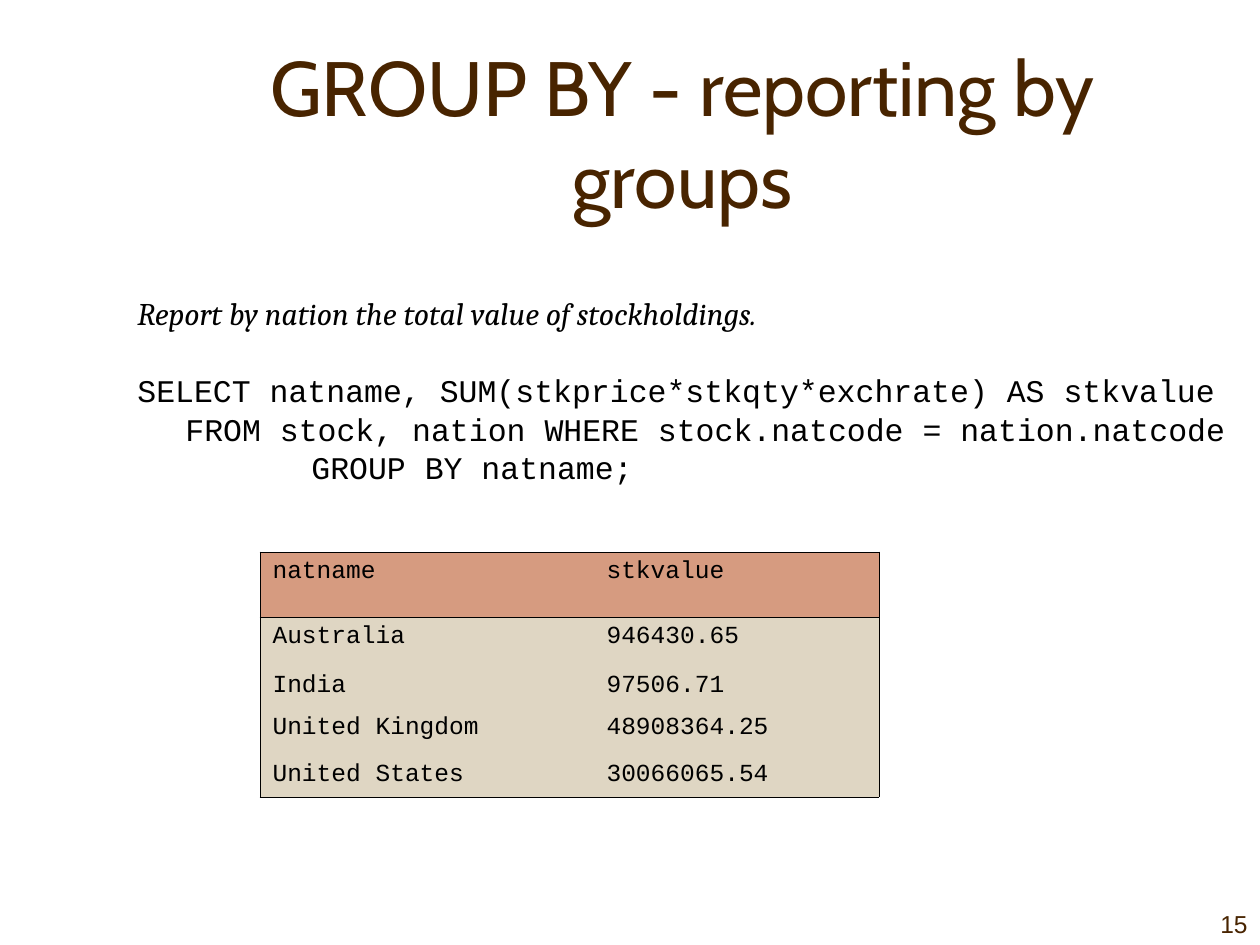
from lxml import etree
from pptx import Presentation
from pptx import util as u
from pptx.dml.color import RGBColor
from pptx.enum import text
from pptx.oxml import ns

BROWN = RGBColor(0x48, 0x24, 0x00)
BLACK = RGBColor(0, 0, 0)
HEADER_FILL = RGBColor(0xD6, 0x9B, 0x80)
BODY_FILL = RGBColor(0xDF, 0xD6, 0xC3)
SCALE = u.Inches(1) / 126


def px(length):
    return u.Emu(round(length * SCALE))


def add_run(paragraph, words, size, font, color, italic=False):
    run = paragraph.add_run()
    run.text = words
    run.font.size = u.Pt(size)
    run.font.name = font
    run.font.italic = italic
    run.font.color.rgb = color


presentation = Presentation()
presentation.slide_width = px(1260)
presentation.slide_height = px(945)
slide = presentation.slides.add_slide(presentation.slide_layouts[6])

labels = [
    ((147, 53, 1071, 158), "GROUP BY - reporting by groups", 44, "Cabin",
     text.MSO_ANCHOR.MIDDLE, text.PP_ALIGN.CENTER),
    ((1135, 882, 125, 63), "15", 14, "Arial",
     text.MSO_ANCHOR.BOTTOM, text.PP_ALIGN.RIGHT),
]
for box, words, size, font, anchor, alignment in labels:
    frame = slide.shapes.add_textbox(*map(px, box)).text_frame
    frame.word_wrap = True
    frame.vertical_anchor = anchor
    frame.paragraphs[0].alignment = alignment
    add_run(frame.paragraphs[0], words, size, font, BROWN)

query_lines = [
    ("Report by nation the total value of stockholdings.", "Cambria", True, 0, 4.5),
    ("SELECT natname, SUM(stkprice*stkqty*exchrate) AS stkvalue", "Courier New", False, 0, 27),
    ("FROM stock, nation WHERE stock.natcode = nation.natcode", "Courier New", False, 48, 4.5),
    ("GROUP BY natname;", "Courier New", False, 174, 4.5),
]
frame = slide.shapes.add_textbox(px(125), px(295), px(1135), px(198)).text_frame
frame.word_wrap = True
for index, (words, font, italic, margin, space) in enumerate(query_lines):
    paragraph = frame.add_paragraph() if index else frame.paragraphs[0]
    paragraph.line_spacing = 0.8
    paragraph.space_before = u.Pt(space)
    properties = paragraph._p.get_or_add_pPr()
    properties.set("marL", str(px(margin)))
    properties.set("indent", "0")
    add_run(paragraph, words, 18, font, BLACK, italic)

records = [
    ("natname", "stkvalue"),
    ("Australia", "946430.65"),
    ("India", "97506.71"),
    ("United Kingdom", "48908364.25"),
    ("United States", "30066065.54"),
]
column_widths = [334, 285]
row_heights = [65, 49, 42, 47, 41]
last_row = len(records) - 1
table = slide.shapes.add_table(
    len(records), len(column_widths), px(260), px(552),
    px(sum(column_widths)), px(sum(row_heights))).table
for column, width in zip(table.columns, column_widths):
    column.width = px(width)
for row, height in zip(table.rows, row_heights):
    row.height = px(height)

for row_index, record in enumerate(records):
    for column_index, words in enumerate(record):
        cell = table.cell(row_index, column_index)
        cell.fill.solid()
        cell.fill.fore_color.rgb = BODY_FILL if row_index else HEADER_FILL
        add_run(cell.text_frame.paragraphs[0], words, 14, "Courier New", BLACK)
        borders = {
            "lnL": column_index == 0,
            "lnR": column_index == 1,
            "lnT": row_index in (0, 1),
            "lnB": row_index in (0, last_row),
        }
        properties = cell._tc.get_or_add_tcPr()
        for position, (side, visible) in enumerate(borders.items()):
            line = etree.Element(ns.qn("a:" + side), w=str(u.Pt(0.45)))
            properties.insert(position, line)
            if visible:
                fill = etree.SubElement(line, ns.qn("a:solidFill"))
                etree.SubElement(fill, ns.qn("a:srgbClr"), val=str(BLACK))
            else:
                etree.SubElement(line, ns.qn("a:noFill"))

presentation.save("out.pptx")
